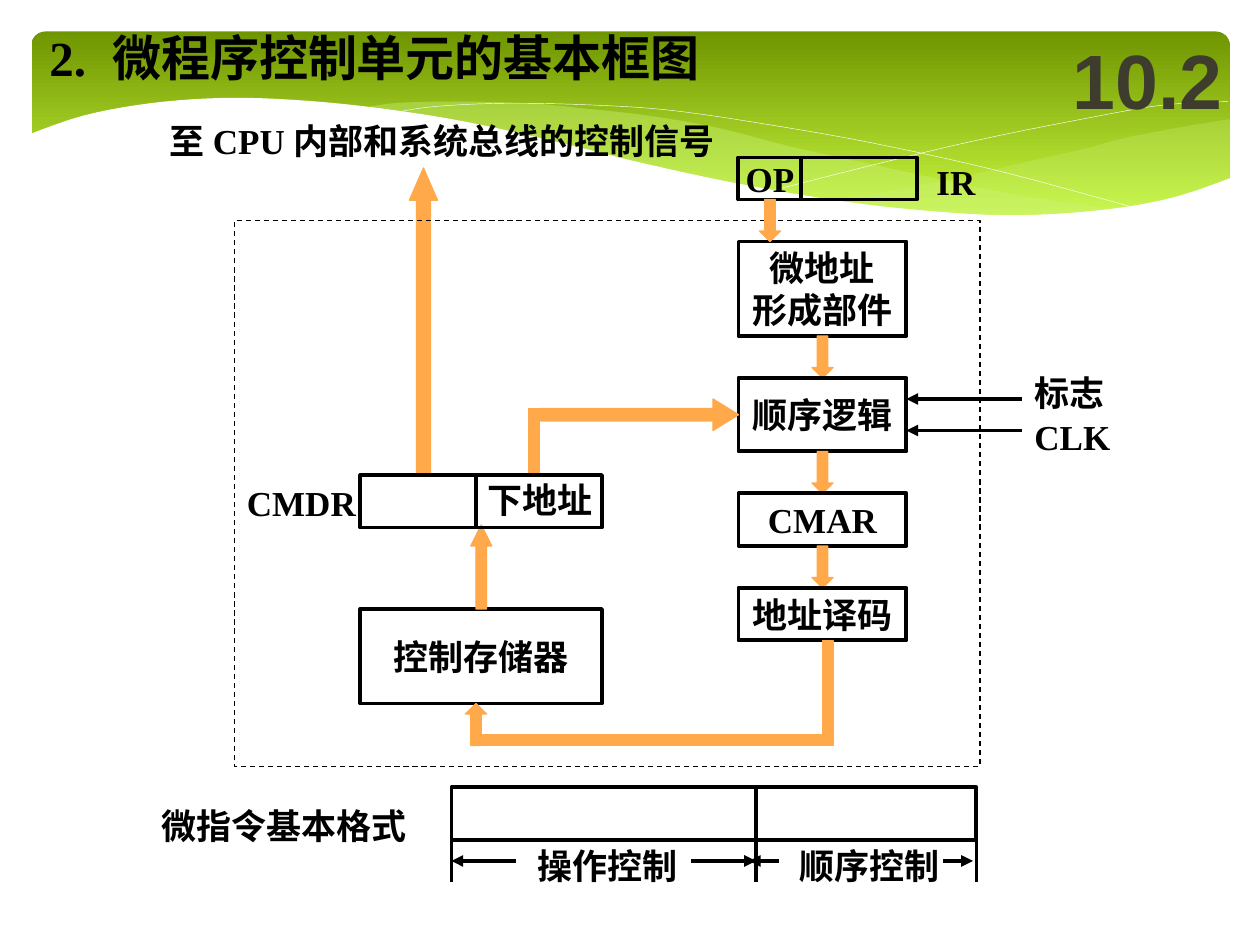
import pptx
import pptx.chart.data
import pptx.dml.color
import pptx.enum.dml
import pptx.enum.shapes
import pptx.enum.text
import pptx.oxml
import pptx.oxml.ns
import pptx.util

Pt = pptx.util.Pt
SHAPE = pptx.enum.shapes.MSO_SHAPE
ALIGN = pptx.enum.text.PP_ALIGN
ANCHOR = pptx.enum.text.MSO_ANCHOR
BLACK, WHITE, ORANGE, PALE_GREEN = "000000", "FFFFFF", "FFA94A", "CAF278"
GAP = 24  # between consecutive blocks of the address path


def color(value):
    return pptx.dml.color.RGBColor.from_string(value)


def add_xml(parent, tag, **attributes):
    element = pptx.oxml.parse_xml(f"<a:{tag} {pptx.oxml.ns.nsdecls('a')}/>")
    for name, value in attributes.items():
        element.set(name, str(value))
    parent.append(element)
    return element


def style_text(text_frame, text, size, font="Times New Roman", hex_color=BLACK, align=ALIGN.LEFT):
    text_frame.text = text
    for paragraph in text_frame.paragraphs:
        paragraph.alignment = align
        for run in paragraph.runs:
            run.font.size = Pt(size)
            run.font.name = font
            run.font.bold = True
            run.font.color.rgb = color(hex_color)


def style_shape(shape, fill=None, line=None, width=0.75):
    shape.shadow.inherit = False
    if fill:
        shape.fill.solid()
        shape.fill.fore_color.rgb = color(fill)
    else:
        shape.fill.background()
    if line:
        shape.line.color.rgb = color(line)
        shape.line.width = Pt(width)
    else:
        shape.line.fill.background()


def add_shape(slide, kind, left, top, width, height):
    return slide.shapes.add_shape(kind, Pt(left), Pt(top), Pt(width), Pt(height))


def add_box(slide, left, top, width, height, text=""):
    box = add_shape(slide, SHAPE.RECTANGLE, left, top, width, height)
    style_shape(box, line=BLACK, width=2.25)
    if text:
        box.text_frame.word_wrap = False
        box.text_frame.vertical_anchor = ANCHOR.MIDDLE
        style_text(box.text_frame, text, 20, align=ALIGN.CENTER)


def add_label(slide, left, top, width, text, height=32, size=20, **style):
    label = slide.shapes.add_textbox(Pt(left), Pt(top), Pt(width), Pt(height))
    label.text_frame.word_wrap = True
    style_text(label.text_frame, text, size, **style)
    return label


def add_flow(slide, kind, left, top, width, height, adjustments=()):
    """Add one orange bar or block arrow."""
    flow = add_shape(slide, kind, left, top, width, height)
    style_shape(flow, fill=ORANGE, line=ORANGE)
    for index, value in enumerate(adjustments):
        flow.adjustments[index] = value


def add_line(slide, x1, y1, x2, y2, arrow=False):
    connector = slide.shapes.add_connector(
        pptx.enum.shapes.MSO_CONNECTOR.STRAIGHT, Pt(x1), Pt(y1), Pt(x2), Pt(y2))
    connector.line.color.rgb = color(BLACK)
    connector.line.width = Pt(2.25)
    properties = connector.element.spPr
    if arrow:
        add_xml(properties.find(pptx.oxml.ns.qn("a:ln")), "tailEnd", type="triangle")
    add_xml(properties, "effectLst")


def smooth(points, steps=5):
    """Return a Catmull-Rom curve through the points."""
    padded = [points[0], *points, points[-1]]
    curve = [points[0]]
    for a, b, c, d in zip(padded, padded[1:], padded[2:], padded[3:]):
        for step in range(1, steps + 1):
            t = step / steps
            curve.append(tuple(
                (2 * q + (r - p) * t + (2 * p - 5 * q + 4 * r - s) * t ** 2
                 + (3 * q - p - 3 * r + s) * t ** 3) / 2
                for p, q, r, s in zip(a, b, c, d)))
    return curve


def add_outline(slide, left, top, points, close):
    scaled = [(x * 100, y * 100) for x, y in points]
    builder = slide.shapes.build_freeform(*scaled[0], scale=Pt(0.01))
    builder.add_line_segments(scaled[1:], close=close)
    return builder.convert_to_shape(Pt(left), Pt(top))


def draw_banner(slide, left, top, width, height):
    banner = add_shape(slide, SHAPE.ROUNDED_RECTANGLE, left, top, width, height)
    style_shape(banner)
    banner.adjustments[0] = 0.07
    banner.fill.gradient()
    banner.fill.gradient_angle = 270
    for stop, position, value in zip(banner.fill.gradient_stops, (0, 1), ("6F9500", "D0FF44")):
        stop.position = position
        stop.color.rgb = color(value)

    right_swell = smooth([(685, 50), (655, 55), (624, 61), (602, 67), (562, 76), (524, 85),
                          (490, 91), (458, 97)])
    right_swell += smooth([(458, 97), (490, 101), (527, 104), (560, 106), (597, 104), (634, 99),
                           (660, 93), (685, 84)])
    long_swell = smooth([(625, 102), (585, 97), (540, 89), (490, 78), (435, 66), (392, 55),
                         (352, 48), (316, 44), (284, 41), (242, 40), (207, 41), (188, 44)])
    long_swell += smooth([(188, 44), (228, 50), (273, 58), (336, 73), (390, 85), (438, 94),
                          (482, 101), (521, 104), (563, 107), (593, 106), (625, 102)])
    for points, opacity in ((right_swell, 29), (long_swell, 40)):
        swell = add_outline(slide, left, top, points, True)
        style_shape(swell, fill=PALE_GREEN)
        solid = swell.element.spPr.find(pptx.oxml.ns.qn("a:solidFill"))
        add_xml(solid[0], "alpha", val=opacity * 1000)

    falling = [(204, 47), (229, 43), (271, 41), (320, 42), (365, 45), (420, 53), (482, 64),
               (554, 80), (635, 102)]
    rising = [(423, 91), (482, 76), (541, 62), (606, 49), (647, 42), (684, 40)]
    for points in (falling, rising):
        style_shape(add_outline(slide, left, top, smooth(points), False), line=WHITE, width=0.25)

    wave = smooth([(686, 83.5), (652, 95), (612, 102), (564, 105), (518, 103), (463, 97),
                   (399, 86), (344, 74), (304, 64), (245, 51), (192, 43), (148, 39), (109, 38),
                   (68, 41), (30, 48), (-2, 59)])
    style_shape(add_outline(slide, left, top, wave + [(-2, 143), (686, 143)], True), fill=WHITE)


def place_title(slide, left, top, width, height):
    title = slide.shapes.title
    title.element.getparent().append(title.element)  # in front of the banner
    title.left, title.top, title.width, title.height = map(Pt, (left, top, width, height))
    frame = title.text_frame
    frame.text = "2.\t微程序控制单元的基本框图"
    tabs = add_xml(frame.paragraphs[0]._p.get_or_add_pPr(), "tabLst")
    add_xml(tabs, "tab", pos=Pt(42), algn="l")
    style_text(frame, frame.text, 28)
    frame.auto_size = pptx.enum.text.MSO_AUTO_SIZE.NONE
    frame.word_wrap = True
    frame.vertical_anchor = ANCHOR.TOP


def draw_instruction_register(slide, left, top):
    add_box(slide, left, top, 36, 24, "OP")
    add_box(slide, left + 36, top, 66, 24)
    add_label(slide, left + 106, top - 2, 60, "IR")
    add_flow(slide, SHAPE.DOWN_ARROW, left + 12, top + 24, 12, GAP)


def draw_address_path(slide, left, top, width):
    """Stack the blocks from address forming down to decoding."""
    blocks = [("微地址\n形成部件", 54), ("顺序逻辑", 42), ("CMAR", 30), ("地址译码", 30)]
    for index, (text, height) in enumerate(blocks):
        if index:
            add_flow(slide, SHAPE.DOWN_ARROW, left + width / 2 - 6, top - GAP, 12, GAP)
        add_box(slide, left, top, width, height, text)
        top += height + GAP


def draw_control_unit(slide, left, top, width, height):
    draw_address_path(slide, left + 288, top + 12, 96)
    add_box(slide, left + 72, top + 222, 138, 54, "控制存储器")
    flows = [
        (SHAPE.UP_ARROW, 135, 174, 12, 48, (0.5, 1)),
        (SHAPE.RIGHT_ARROW, 174, 102, 114, 18, (0.39, 0.81)),
        (SHAPE.RECTANGLE, 168, 107.5, 6, 37, ()),
        (SHAPE.RECTANGLE, 336, 240, 6, 60, ()),
        (SHAPE.UP_ARROW, 132, 276, 12, 24, (0.5, 0.5)),
        (SHAPE.RECTANGLE, 138, 294, 198, 6, ()),
        (SHAPE.UP_ARROW, 100, -30, 16, 174, (0.5, 1.15)),
    ]
    for kind, x, y, flow_width, flow_height, adjustments in flows:
        add_flow(slide, kind, left + x, top + y, flow_width, flow_height, adjustments)
    frame = add_shape(slide, SHAPE.RECTANGLE, left, top, width, height)
    style_shape(frame, line=BLACK)
    frame.line.dash_style = pptx.enum.dml.MSO_LINE.DASH
    add_box(slide, left + 72, top + 145.5, 138, 30)
    add_line(slide, left + 138, top + 145.5, left + 138, top + 175.5)
    add_label(slide, left + 137.5, top + 144, 80, "下地址")
    add_label(slide, left, top + 145.5, 84, "CMDR")
    add_label(slide, left - 44, top - 61, 360, "至 CPU 内部和系统总线的控制信号")


def draw_input_signals(slide, left, top):
    for text, label_top, line_top in (("标志", 0, 19), ("CLK", 25, 37)):
        add_line(slide, left + 66, top + line_top, left, top + line_top, arrow=True)
        add_label(slide, left + 66, top + label_top, 66, text)


def draw_instruction_format(slide, left, top):
    add_box(slide, left, top, 174, 30)
    add_box(slide, left + 174, top, 126, 30)
    for x in (0, 174, 300):
        add_line(slide, left + x, top + 24, left + x, top + 54)
    for start, end in ((37, 0), (137, 174), (187, 170), (281, 298)):
        add_line(slide, left + start, top + 42, left + end, top + 42, arrow=True)
    add_label(slide, left + 42, top + 29, 100, "操作控制")
    add_label(slide, left + 192, top + 29, 100, "顺序控制")
    add_label(slide, left - 173, top + 6, 165, "微指令基本格式")


def main():
    presentation = pptx.Presentation()
    presentation.slide_width, presentation.slide_height = Pt(720), Pt(540)
    slide = presentation.slides.add_slide(presentation.slide_layouts[5])
    draw_banner(slide, 18, 18, 684.7, 112.3)
    place_title(slide, 21, 12, 420, 41)
    draw_control_unit(slide, 134, 126, 426, 312)
    draw_instruction_register(slide, 422, 90)
    draw_input_signals(slide, 518, 209)
    draw_instruction_format(slide, 258, 450)
    section = add_label(slide, 606, 12, 114, "10.2", height=66, size=44,
                        font="Arial", hex_color="3E3D2D")
    section.text_frame.vertical_anchor = ANCHOR.MIDDLE
    presentation.save("out.pptx")


if __name__ == "__main__":
    main()
